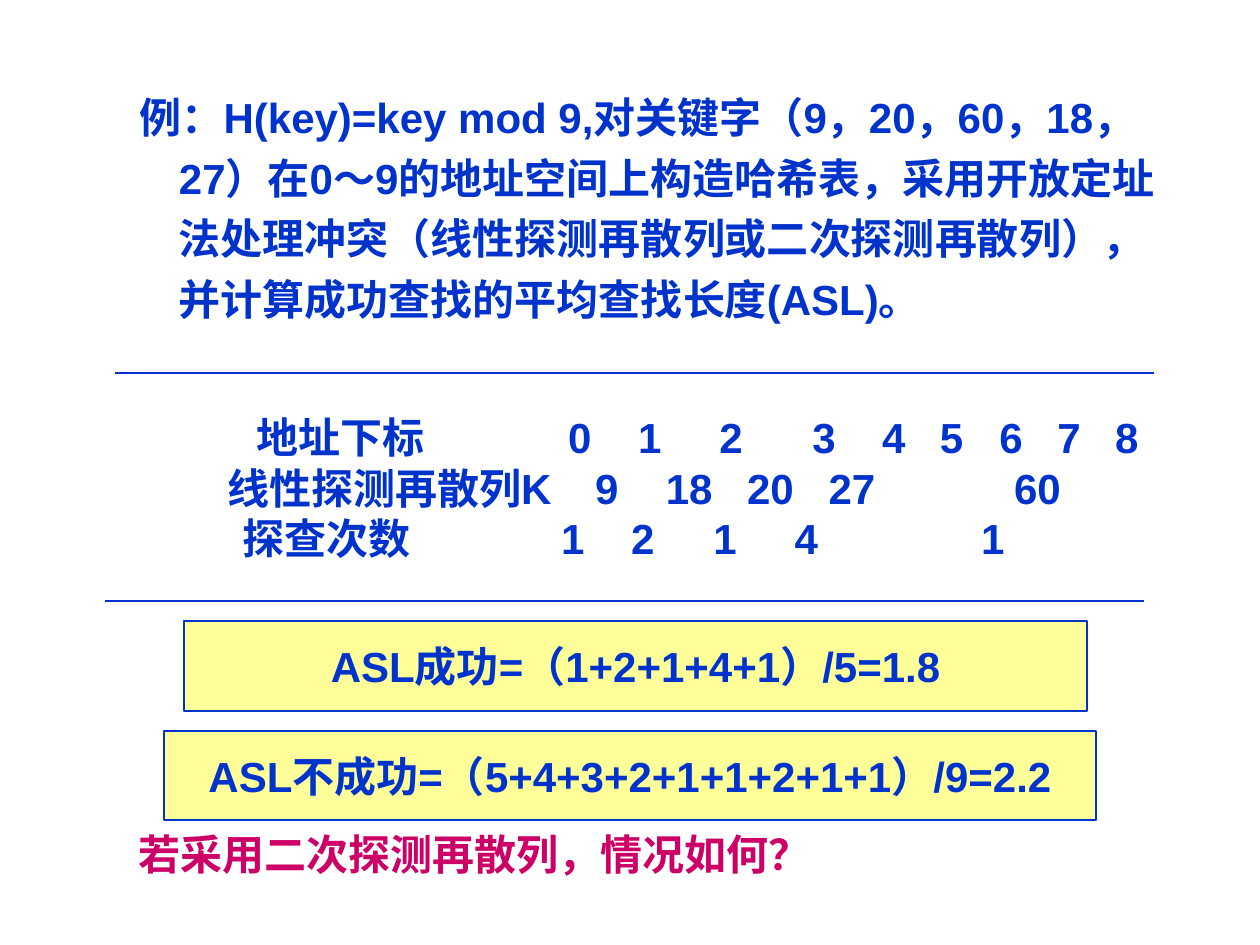
from lxml.etree import SubElement
from pptx import Presentation
from pptx.dml.color import RGBColor as Rgb
from pptx.enum.shapes import MSO_CONNECTOR as Connector, MSO_SHAPE as Shape
from pptx.enum.text import MSO_ANCHOR as Anchor, PP_ALIGN as Align
from pptx.oxml.ns import qn
from pptx.util import Pt

COLORS = {"blue": "0033CC", "pink": "CC0066", "yellow": "FFFF99", "white": "FFFFFF"}
FONT = {"name": "Arial", "size": Pt(24), "bold": True}

# Content: lengths in points
PROBLEM = ("例：H(key)=key mod 9,对关键字（9，20，60，18，27）在0～9的地址空间上构造哈希表，"
           "采用开放定址法处理冲突（线性探测再散列或二次探测再散列），"
           "并计算成功查找的平均查找长度(ASL)。")
QUESTION = "若采用二次探测再散列，情况如何？"
PROBE_BOX = (90.7, 224.6, 575.3, 108)
PROBE_ROWS = [  # label, its left edge, values, their centres
    ("地址下标", 49, "0 1 2 3 4 5 6 7 8",
     (233.5, 273.5, 320, 373, 413, 446, 480, 513, 546)),
    ("线性探测再散列K", 32, "9 18 20 27 60", (249, 296, 342.5, 389, 495)),
    ("探查次数", 40.5, "1 2 1 4 1", (229.5, 269.5, 316.5, 363, 469.5)),
]
RULES = [(59.8, 343.4), (65.5, 213.1)]  # left, height on the page
RULE_WIDTH = 594
RESULTS = [
    ("ASL成功=（1+2+1+4+1）/5=1.8", (105.1, 355, 516.2, 51.1)),
    ("ASL不成功=（5+4+3+2+1+1+2+1+1）/9=2.2", (93.6, 417.6, 532.8, 51.1)),
]


def color(name):
    return Rgb.from_string(COLORS[name])


def write(para, text, ink="blue"):
    span = para.add_run()
    span.text = text
    for key, value in FONT.items():
        setattr(span.font, key, value)
    span.font.color.rgb = color(ink)


def add_text(page, area, text, ink="blue"):
    box = page.shapes.add_textbox(*map(Pt, area))
    box.text_frame.word_wrap = True
    para = box.text_frame.paragraphs[0]
    write(para, text, ink)
    return para


def add_panel(page, area, fill, outline=None):
    panel = page.shapes.add_shape(Shape.RECTANGLE, *map(Pt, area))
    panel.shadow.inherit = False
    panel.fill.solid()
    panel.fill.fore_color.rgb = color(fill)
    if outline:
        panel.line.color.rgb = color(outline)
        panel.line.width = Pt(1)
    else:
        panel.line.fill.background()
    panel.text_frame.vertical_anchor = Anchor.MIDDLE
    return panel.text_frame


def add_tabs(para, stops):
    tabs = SubElement(para._p.get_or_add_pPr(), qn("a:tabLst"))
    for place, align in stops:
        SubElement(tabs, qn("a:tab"), pos=str(int(Pt(place))), algn=align)


def main():
    deck = Presentation()
    deck.slide_width, deck.slide_height = Pt(720), Pt(540)
    page = deck.slides.add_slide(deck.slide_layouts[6])

    # Problem statement with a hanging indent
    problem = add_text(page, (36.7, 43.2, 636.5, 150), PROBLEM)
    problem.line_spacing = 1.2
    indent = problem._p.get_or_add_pPr()
    indent.set("marL", str(int(Pt(58.5))))
    indent.set("indent", str(int(Pt(-22.5))))

    # Closing question
    add_text(page, (72.3, 470, 600, 36), QUESTION, "pink")

    # Rules above and below the probe table
    for left, top in RULES:
        rule = page.shapes.add_connector(
            Connector.STRAIGHT, Pt(left), Pt(top), Pt(left + RULE_WIDTH), Pt(top))
        rule.line.color.rgb = color("blue")
        rule.line.width = Pt(1)
        SubElement(rule._element.spPr, qn("a:effectLst"))

    # Probe rows, set on tab stops
    frame = add_panel(page, PROBE_BOX, "white")
    frame.word_wrap = True
    for number, (label, left, values, centres) in enumerate(PROBE_ROWS):
        para = frame.add_paragraph() if number else frame.paragraphs[0]
        para.alignment = Align.LEFT
        add_tabs(para, [(left, "l")] + [(centre, "ctr") for centre in centres])
        write(para, "\t" + "\t".join([label] + values.split()))

    # Average search lengths
    for text, area in RESULTS:
        frame = add_panel(page, area, "yellow", "blue")
        frame.word_wrap = False
        para = frame.paragraphs[0]
        para.alignment = Align.CENTER
        write(para, text)

    deck.save("out.pptx")


if __name__ == "__main__":
    main()
